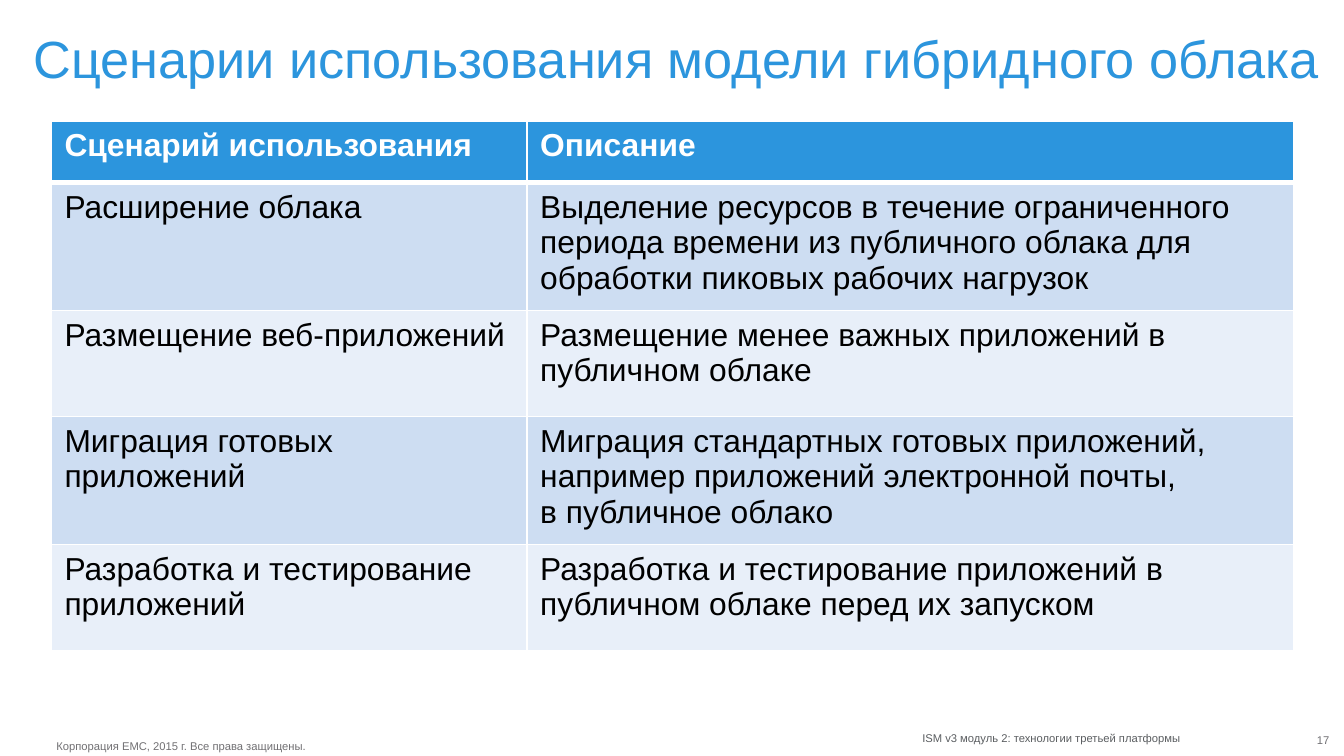
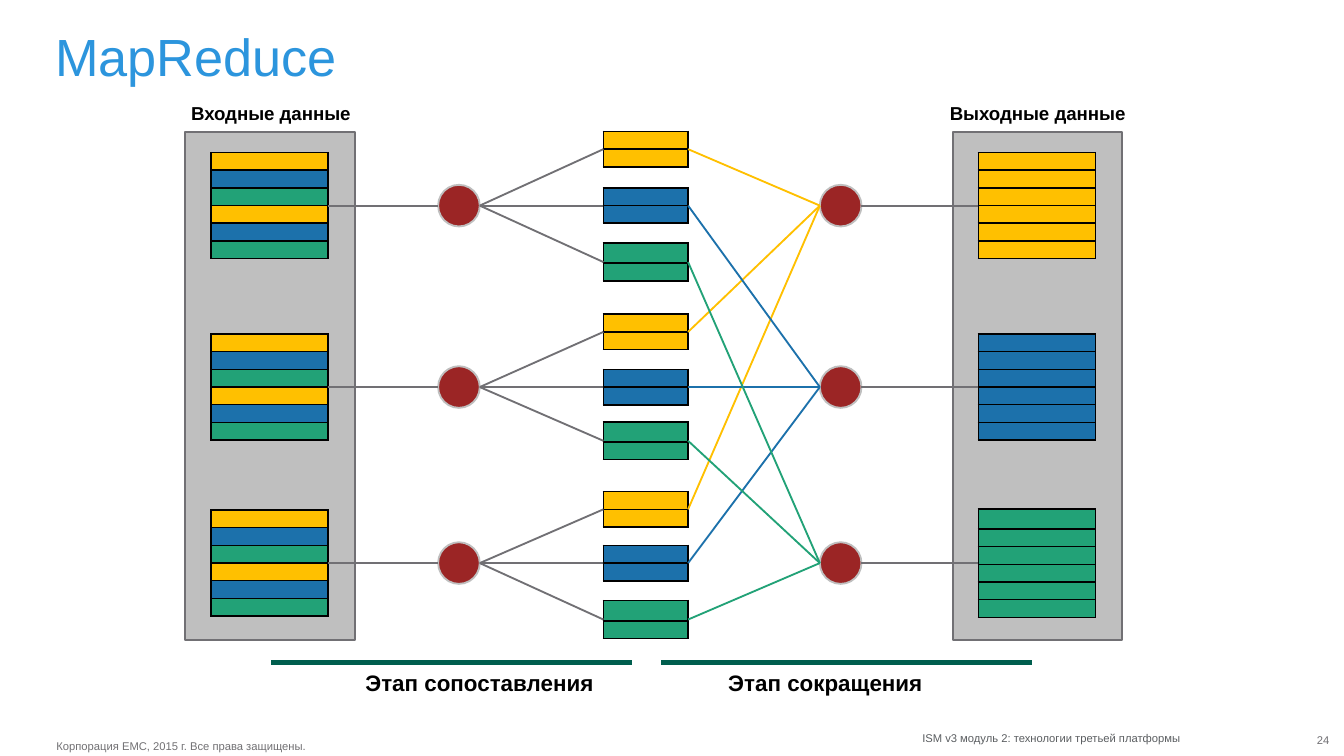
import pptx
import pptx.dml.color
import pptx.enum.shapes
import pptx.enum.text
import pptx.oxml
import pptx.oxml.ns
import pptx.util
from pptx.util import Inches

FONT = "Arial"
COLORS = {
    "title": "2C95DD", "white": "FFFFFF", "black": "000000",
    "legal": "717073", "module": "5B5E61", "gray": "717074",
    "odd": "CDDDF2", "even": "E8EFF9", "panel": "BFBFBF",
    "yellow": "FFC000", "blue": "1C71AB", "green": "22A277",
    "node": "9B2525", "stage": "005E4E",
}

LEGAL = "Корпорация EMC, 2015\u00a0г. Все права защищены."
MODULE = "ISM v3 модуль 2: технологии третьей платформы"

CASES = [
    ("Сценарий использования", "Описание"),
    ("Расширение облака",
     "Выделение ресурсов в течение ограниченного периода времени "
     "из публичного облака для обработки пиковых рабочих нагрузок"),
    ("Размещение веб-приложений",
     "Размещение менее важных приложений в публичном облаке"),
    ("Миграция готовых приложений",
     "Миграция стандартных готовых приложений, например приложений "
     "электронной почты,\nв публичное облако"),
    ("Разработка и тестирование приложений",
     "Разработка и тестирование приложений в публичном облаке "
     "перед их запуском"),
]
CASE_COLS = (3.54, 5.71)
CASE_ROWS = (0.46, 0.79, 0.79, 0.79, 0.79)

KEYS = ("yellow", "blue", "green")
# Centre heights of the record groups; the middle one faces its node.
GROUPS = [(1.11, 1.53, 1.95), (2.47, 2.88, 3.28), (3.79, 4.19, 4.61)]
IN_X, GROUP_X, OUT_X = 1.57, 4.49, 7.28
DATA_W, GROUP_W = 0.87, 0.63
MAP_X, RED_X, NODE = 3.26, 6.1, 0.31
ROW_H, TALL_H = 0.79 / 6, 0.15
PANELS = (7.09, 1.38)
HEADS = [("Входные данные", 1.3, 1.43), ("Выходные данные", 6.93, 1.58)]
STAGES = [("Этап сопоставления", 2.62, 1.98, 2.02, 4.7),
          ("Этап сокращения", 5.32, 1.72, 4.92, 7.68)]
STAGE_Y = 4.93

ALIGN = pptx.enum.text.PP_ALIGN
SHAPE = pptx.enum.shapes.MSO_SHAPE


def rgb(key):
    return pptx.dml.color.RGBColor.from_string(COLORS[key])


def node(tag, attrs="", inner=""):
    space = pptx.oxml.ns.nsdecls("a")
    return pptx.oxml.parse_xml(f"<a:{tag} {space} {attrs}>{inner}</a:{tag}>")


def write(para, text, size, color, bold=False):
    for i, part in enumerate(text.split("\n")):
        if i:
            para.add_line_break()
            para._p[-1].append(node("rPr", f'sz="{size * 100}"'))
        run = para.add_run()
        run.text = part
        run.font.name = FONT
        run.font.size = pptx.util.Pt(size)
        run.font.bold = bold
        run.font.color.rgb = rgb(color)


def close(para, size):
    """Set the size of the paragraph's end, which sets the row height."""
    para._p.append(node("endParaRPr", f'sz="{size * 100}"'))


def label(slide, text, at, size, color, bold=False, align=ALIGN.LEFT,
          wrap=False, inset=True, grow=True):
    box = slide.shapes.add_textbox(*map(Inches, at))
    frame = box.text_frame
    frame.word_wrap = wrap
    if grow:
        frame.auto_size = pptx.enum.text.MSO_AUTO_SIZE.SHAPE_TO_FIT_TEXT
    if not inset:
        frame.margin_left = frame.margin_right = 0
        frame.margin_top = frame.margin_bottom = 0
    para = frame.paragraphs[0]
    para.alignment = align
    write(para, text, size, color, bold)
    return para


def start(deck, title, at, page):
    """Add a slide with the shared title style, footers and page number."""
    slide = deck.slides.add_slide(deck.slide_layouts[6])
    label(slide, LEGAL, (0.42, 5.5, 1.89, 0.1), 6, "legal", inset=False)
    label(slide, MODULE, (6.83, 5.44, 1.95, 0.1), 6, "module",
          align=ALIGN.RIGHT, inset=False)
    para = label(slide, title, at, 28, "title", wrap=True, inset=False,
                 grow=False)
    para.line_spacing = 0.9
    label(slide, page, (9.58, 5.46, 0.31, 0.1), 6, "gray",
          align=ALIGN.RIGHT, wrap=True, inset=False)
    return slide


def edge(cell, color, bottom=1):
    """Border the cell on four sides; call before filling it."""
    props = cell._tc.get_or_add_tcPr()
    for side, width in zip("LRTB", (1, 1, 1, bottom)):
        props.append(node(
            f"ln{side}", f'w="{pptx.util.Pt(width)}"',
            f'<a:solidFill><a:srgbClr val="{COLORS[color]}"/></a:solidFill>'))


def paint(item, color):
    item.fill.solid()
    item.fill.fore_color.rgb = rgb(color)


def grid(slide, x, y, cols, rows):
    table = slide.shapes.add_table(
        len(rows), len(cols), Inches(x), Inches(y),
        Inches(sum(cols)), Inches(sum(rows))).table
    table.first_row = table.horz_banding = False
    for col, width in zip(table.columns, cols):
        col.width = Inches(width)
    for row, height in zip(table.rows, rows):
        row.height = Inches(height)
    return table


def stack(slide, x, mid, width, keys):
    """Draw a column of coloured records centred on the height mid."""
    rows = [ROW_H] * len(keys)
    if keys[0] == "green":
        rows[0] = TALL_H
    table = grid(slide, x, mid - sum(rows) / 2, [width], rows)
    for i, key in enumerate(keys):
        cell = table.cell(i, 0)
        cell.margin_left = cell.margin_right = 0
        cell.margin_top = cell.margin_bottom = 0
        close(cell.text_frame.paragraphs[0], 6)
        edge(cell, "black")
        paint(cell, key)


def shape(slide, kind, at, fill, line):
    item = slide.shapes.add_shape(kind, *map(Inches, at))
    item.shadow.inherit = False
    paint(item, fill)
    item.line.color.rgb = rgb(line)
    item.line.width = pptx.util.Pt(1)


def link(slide, x1, y1, x2, y2, color, width=1):
    line = slide.shapes.add_connector(
        pptx.enum.shapes.MSO_CONNECTOR.STRAIGHT,
        *map(Inches, (x1, y1, x2, y2)))
    line.line.color.rgb = rgb(color)
    line.line.width = pptx.util.Pt(width)
    line._element.spPr.append(node("effectLst"))


def cases(deck):
    slide = start(deck, "Сценарии использования модели гибридного облака",
                  (0.25, 0.25, 9.75, 0.5), "17")
    table = grid(slide, 0.38, 0.9, CASE_COLS, CASE_ROWS)
    table.first_row = True
    for r, row in enumerate(CASES):
        head = r == 0
        for c, text in enumerate(row):
            cell = table.cell(r, c)
            para = cell.text_frame.paragraphs[0]
            write(para, text, 17, "white" if head else "black", head)
            close(para, 17)
            if head:
                edge(cell, "white", bottom=3)
            paint(cell, "title" if head else "odd" if r % 2 else "even")


def reduce_map(deck):
    slide = start(deck, "MapReduce", (0.41, 0.23, 9.25, 0.5), "24")
    for x in PANELS:
        shape(slide, SHAPE.RECTANGLE, (x, 0.98, 1.26, 3.78), "panel", "gray")

    for key, group in zip(KEYS, GROUPS):
        mid = group[1]
        stack(slide, IN_X, mid, DATA_W, KEYS * 2)
        stack(slide, OUT_X, mid, DATA_W, [key] * 6)
        for tint, y in zip(KEYS, group):
            stack(slide, GROUP_X, y, GROUP_W, [tint] * 2)
        for x in (MAP_X, RED_X):
            shape(slide, SHAPE.OVAL, (x, mid - NODE / 2, NODE, NODE),
                  "node", "panel")

    for i, (key, group) in enumerate(zip(KEYS, GROUPS)):
        mid = group[1]
        link(slide, MAP_X, mid, IN_X + DATA_W, mid, "gray")
        for y in group:
            link(slide, GROUP_X, y, MAP_X + NODE, mid, "gray")
        for source in GROUPS:
            link(slide, RED_X, mid, GROUP_X + GROUP_W, source[i], key)
        link(slide, OUT_X, mid, RED_X + NODE, mid, "gray")

    for text, x, width in HEADS:
        label(slide, text, (x, 0.71, width, 0.27), 10, "black", bold=True,
              align=ALIGN.CENTER, wrap=True)
    for text, x, width, left, right in STAGES:
        label(slide, text, (x, STAGE_Y, width, 0.3), 12, "black", bold=True)
        link(slide, left, STAGE_Y, right, STAGE_Y, "stage", 2.5)


def main():
    deck = pptx.Presentation()
    deck.slide_width = Inches(10)
    deck.slide_height = Inches(10 * 9 / 16)
    cases(deck)
    reduce_map(deck)
    deck.save("out.pptx")


if __name__ == "__main__":
    main()
